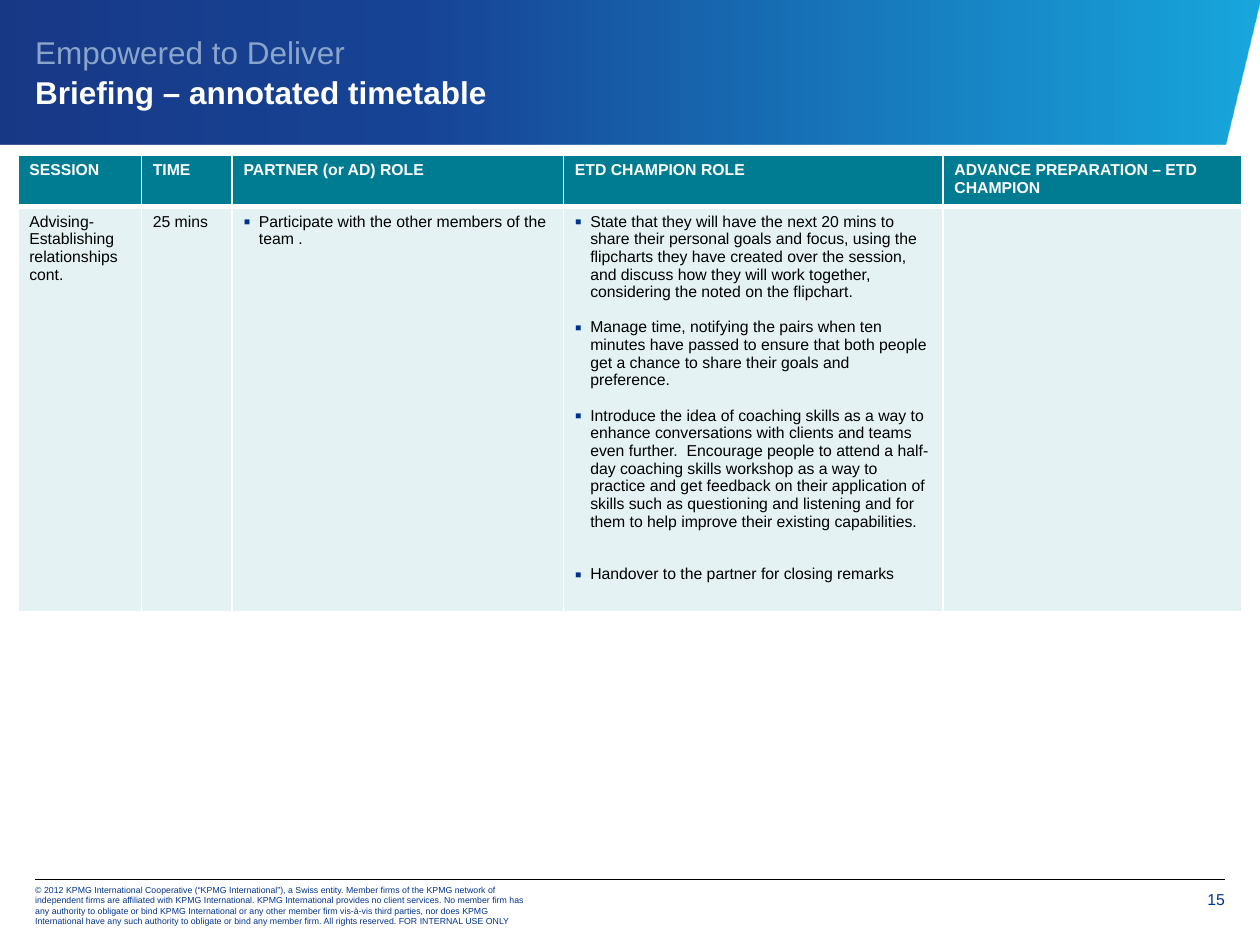
from dataclasses import dataclass
from typing import Optional

from lxml import etree
from pptx import Presentation
from pptx import util as u
from pptx.dml.color import RGBColor
from pptx.enum import shapes, text
from pptx.oxml import ns

Cm, Pt = u.Cm, u.Pt
NAVY, TEAL, PALE, WHITE, BLACK = "00338D", "007C92", "E5F2F4", "FFFFFF", "000000"
LEFT, RIGHT = 0.71, 24.69


@dataclass
class Item:
    words: str
    bullet: bool = False
    before: float = 0


@dataclass
class Column:
    heading: str
    width: float
    items: tuple[Item, ...] = ()


COLUMNS = [
    Column("SESSION", 2.49, (Item("Advising- Establishing relationships cont."),)),
    Column("TIME", 1.83, (Item("25 mins"),)),
    Column("PARTNER (or AD) ROLE", 6.68, (
        Item("Participate with the other members of the team .", True),)),
    Column("ETD CHAMPION ROLE", 7.65, (
        Item("State that they will have the next 20 mins to share their personal "
             "goals and focus, using the flipcharts they have created over the "
             "session, and discuss how they will work together, considering the "
             "noted on the flipchart.", True),
        Item("Manage time, notifying the pairs when ten minutes have passed to "
             "ensure that both people get a chance to share their goals and "
             "preference.", True, 10),
        Item("Introduce the idea of coaching skills as a way to enhance "
             "conversations with clients and teams even further.  Encourage people "
             "to attend a half-day coaching skills workshop as a way to practice "
             "and get feedback on their application of skills such as questioning "
             "and listening and for them to help improve their existing "
             "capabilities.", True, 10),
        Item("Handover to the partner for closing remarks", True, 20))),
    Column("ADVANCE PREPARATION – ETD CHAMPION", 6.02),
]

COPYRIGHT = (
    "© 2012 KPMG International Cooperative (“KPMG International”), a Swiss entity. "
    "Member firms of the KPMG network of independent firms are affiliated with KPMG "
    "International. KPMG International provides no client services. No member firm "
    "has any authority to obligate or bind KPMG International or any other member "
    "firm vis-à-vis third parties, nor does KPMG International have any such "
    "authority to obligate or bind any member firm. All rights reserved. FOR "
    "INTERNAL USE ONLY")


def rgb(value: str) -> RGBColor:
    return RGBColor.from_string(value)


def apply(target, values: dict) -> None:
    for name, value in values.items():
        setattr(target, name, value)


def child(parent, tag: str, **attrs):
    return etree.SubElement(parent, ns.qn(tag), attrs)


def add_run(p, words: str, size: float, color: str, bold: bool = False) -> None:
    r = p.add_run()
    r.text = words
    apply(r.font, {"name": "Arial", "size": Pt(size), "bold": bold})
    r.font.color.rgb = rgb(color)


def add_bullet(p) -> None:
    pPr = p._p.get_or_add_pPr()
    indent = Cm(0.31)
    pPr.set("marL", str(indent))
    pPr.set("indent", str(-indent))
    child(child(pPr, "a:buClr"), "a:srgbClr", val=NAVY)
    child(pPr, "a:buSzPct", val="125000")
    child(pPr, "a:buFont", typeface="Arial")
    child(pPr, "a:buChar", char="▪")


def fill_cell(cell, items: tuple[Item, ...], fill: str, color: str, bold: bool,
              borders: dict[str, float]) -> None:
    apply(cell, {"margin_left": Cm(0.23), "margin_right": Cm(0.23),
                 "margin_top": Cm(0.13), "margin_bottom": Cm(0.13)})
    tf = cell.text_frame
    for i, item in enumerate(items):
        p = tf.add_paragraph() if i else tf.paragraphs[0]
        if item.bullet:
            add_bullet(p)
        if item.before:
            p.space_before = Pt(item.before)
        add_run(p, item.words, 9, color, bold)
    tcPr = cell._tc.get_or_add_tcPr()
    for side, width in borders.items():
        ln = child(tcPr, f"a:ln{side}", w=str(Pt(width)))
        child(child(ln, "a:solidFill"), "a:srgbClr", val=WHITE)
    cell.fill.solid()
    cell.fill.fore_color.rgb = rgb(fill)


def add_timetable(s) -> None:
    total = sum(c.width for c in COLUMNS)
    heights = (1.04, 8.05)
    table = s.shapes.add_table(2, len(COLUMNS), Cm(0.36), Cm(3.12),
                               Cm(total), Cm(sum(heights))).table
    for row, height in zip(table.rows, heights):
        row.height = Cm(height)
    for i, col in enumerate(COLUMNS):
        table.columns[i].width = Cm(col.width)
        fill_cell(table.cell(0, i), (Item(col.heading),), TEAL, WHITE, True,
                  {"L": 1, "R": 1, "T": 1, "B": 3})
        fill_cell(table.cell(1, i), col.items, PALE, BLACK, False,
                  {"L": 1, "R": 1, "T": 3, "B": 1})


def add_band(s) -> None:
    builder = s.shapes.build_freeform(Cm(25.4), 0)
    builder.add_line_segments(
        [(0, 0), (0, Cm(2.92)), (Cm(RIGHT), Cm(2.92))], close=True)
    sp = builder.convert_to_shape()
    sp.shadow.inherit = False
    sp.line.fill.background()
    sp.fill.gradient()
    sp.fill.gradient_angle = 0
    stops = sp._element.spPr.find(ns.qn("a:gradFill")).find(ns.qn("a:gsLst"))
    for stop in list(stops):
        stops.remove(stop)
    for position, color in ((0, "00257A"), (35, NAVY), (100, "009FDA")):
        stop = child(stops, "a:gs", pos=str(position * 1000))
        child(child(stop, "a:srgbClr", val=color), "a:alpha", val="90000")


def add_rule(s) -> None:
    y = Cm(17.73)
    line = s.shapes.add_connector(shapes.MSO_CONNECTOR.STRAIGHT,
                                  Cm(LEFT), y, Cm(RIGHT), y)
    line.line.width = Pt(0.25)
    line.line.color.rgb = rgb(BLACK)
    child(line._element.spPr, "a:effectLst")


def add_label(s, box: tuple[float, ...], words: str, size: float, frame: dict,
              paragraph: Optional[dict] = None) -> None:
    tf = s.shapes.add_textbox(*(Cm(v) for v in box)).text_frame
    apply(tf, {"word_wrap": True, **frame})
    p = tf.paragraphs[0]
    apply(p, paragraph or {})
    add_run(p, words, size, NAVY)


def format_title(s) -> None:
    title = s.shapes.title
    apply(title, {"left": Cm(LEFT), "top": Cm(0.33),
                  "width": Cm(24), "height": Cm(2.21)})
    tf = title.text_frame
    apply(tf, {"margin_left": 0, "margin_right": 0, "margin_top": 0,
               "margin_bottom": 0, "word_wrap": True,
               "auto_size": text.MSO_AUTO_SIZE.NONE,
               "vertical_anchor": text.MSO_ANCHOR.MIDDLE})
    p = tf.paragraphs[0]
    apply(p, {"alignment": text.PP_ALIGN.LEFT, "line_spacing": 1.05})
    add_run(p, "Empowered to Deliver", 18, "8AA5CB")
    p.add_line_break()
    add_run(p, "Briefing – annotated timetable", 18, WHITE, True)
    title._element.getparent().append(title._element)


def main() -> None:
    prs = Presentation()
    apply(prs, {"slide_width": Cm(25.4), "slide_height": Cm(19.05)})
    s = prs.slides.add_slide(prs.slide_layouts[5])
    add_band(s)
    add_rule(s)
    add_label(s, (23.42, 17.73, 1.27, 0.79), "15", 9,
              {"margin_left": Cm(0.2), "margin_top": Cm(0.2),
               "margin_right": 0, "margin_bottom": 0},
              {"alignment": text.PP_ALIGN.RIGHT})
    add_label(s, (0.46, 17.81, 10.54, 0.89), COPYRIGHT, 5,
              {"vertical_anchor": text.MSO_ANCHOR.MIDDLE},
              {"line_spacing": Pt(6)})
    add_timetable(s)
    format_title(s)
    prs.save("out.pptx")


if __name__ == "__main__":
    main()
